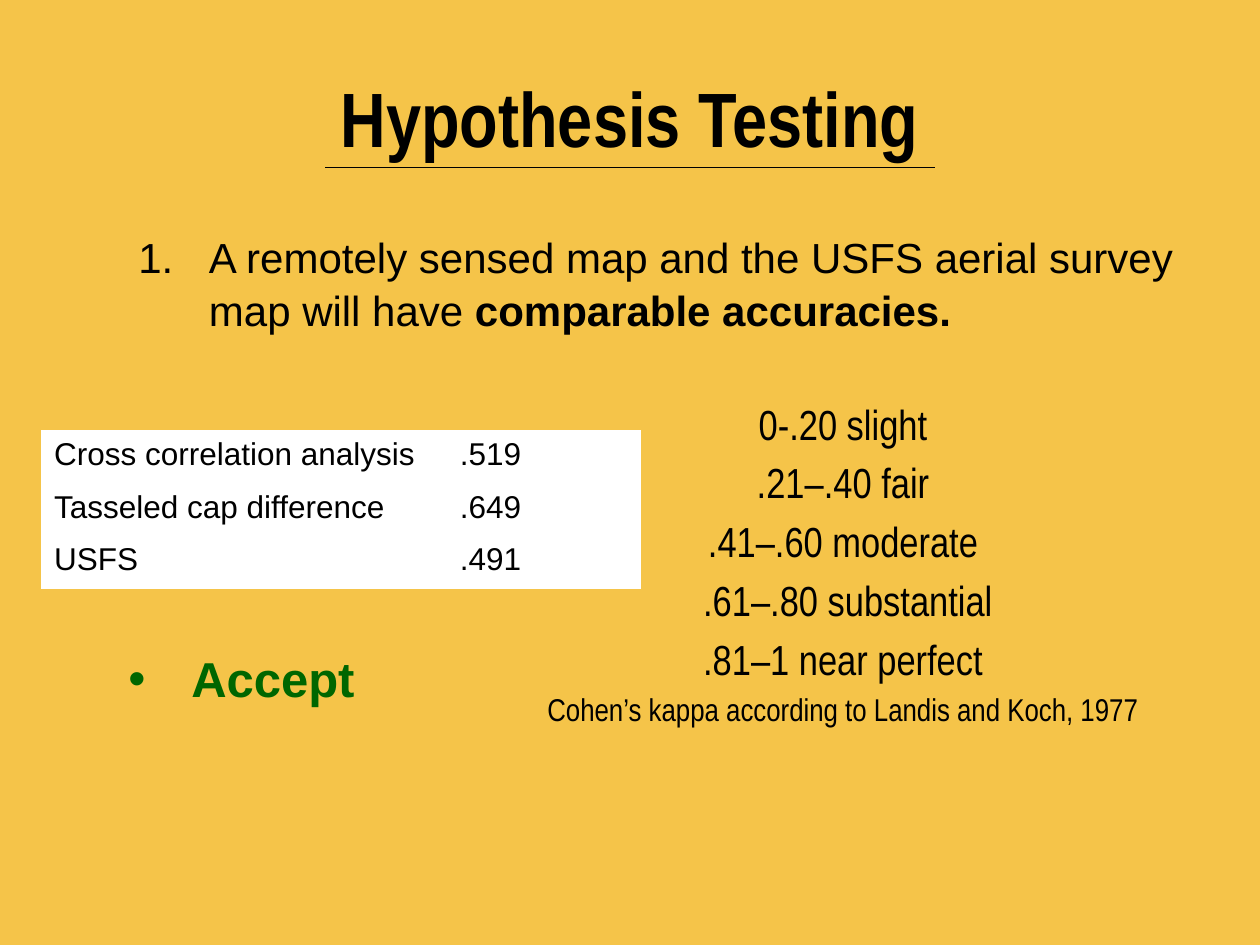
from lxml import etree
from pptx import Presentation
from pptx import util as u
from pptx.dml.color import RGBColor
from pptx.enum import shapes, text
from pptx.oxml.ns import qn

GOLD = RGBColor(0xF5, 0xC4, 0x49)
BLACK = RGBColor(0, 0, 0)
WHITE = RGBColor(0xFF, 0xFF, 0xFF)
GREEN = RGBColor(0, 0x66, 0)

KAPPA_SCALE = ["0-.20 slight", ".21–.40 fair", ".41–.60 moderate",
               " .61–.80 substantial", ".81–1 near perfect"]
ACCURACIES = [("Cross correlation analysis", ".519"),
              ("Tasseled cap difference", ".649"),
              ("USFS", ".491")]


def style(para, size, name="Arial", color=BLACK, bold=None):
    font = para.font
    font.size, font.name, font.bold = u.Pt(size), name, bold
    font.color.rgb = color


def add_box(page, left, top, width, height):
    box = page.shapes.add_textbox(*map(u.Inches, (left, top, width, height)))
    box.text_frame.word_wrap = True
    return box.text_frame


def add_bullet(para, tag, indent, hang, **attributes):
    properties = para._p.get_or_add_pPr()
    properties.set("marL", str(u.Inches(indent)))
    properties.set("indent", str(-u.Inches(hang)))
    if tag == "a:buChar":
        etree.SubElement(properties, qn("a:buFont"), typeface="Arial")
    etree.SubElement(properties, qn(tag), **attributes)


def add_title(page):
    frame = add_box(page, 0.5, 0.3, 9, 1.25)
    frame.vertical_anchor = text.MSO_ANCHOR.MIDDLE
    para = frame.paragraphs[0]
    para.text = "Hypothesis Testing"
    para.alignment = text.PP_ALIGN.CENTER
    style(para, 44, "Arial Narrow", bold=True)
    rule = page.shapes.add_connector(
        shapes.MSO_CONNECTOR.STRAIGHT,
        *map(u.Inches, (2.58, 1.33, 7.42, 1.33)))
    rule.line.color.rgb = BLACK
    rule.line.width = u.Pt(0.75)
    etree.SubElement(rule._element.spPr, qn("a:effectLst"))


def add_hypothesis(page):
    para = add_box(page, 0.5, 1.77, 9, 1).paragraphs[0]
    add_bullet(para, "a:buAutoNum", 1.06, 0.56, type="arabicPeriod")
    para.line_spacing = 1.05
    style(para, 24)
    para.add_run().text = ("A remotely sensed map and the USFS aerial "
                           "survey map will have ")
    span = para.add_run()
    span.text = "comparable accuracies."
    span.font.bold = True


def add_kappa_scale(page):
    frame = add_box(page, 4.19, 3.11, 5, 2.8)
    lines = [(line, 24) for line in KAPPA_SCALE]
    lines.append(("Cohen’s kappa according to Landis and Koch, 1977", 18))
    for index, (line, size) in enumerate(lines):
        para = frame.add_paragraph() if index else frame.paragraphs[0]
        para.text = line
        para.alignment = text.PP_ALIGN.CENTER
        if index:
            para.space_before = u.Pt(size * 0.2)
        style(para, size, "Arial Narrow")


def add_accuracy_table(page):
    table = page.shapes.add_table(
        len(ACCURACIES), 2, *map(u.Inches, (0.33, 3.42, 4.75, 1.25))).table
    for column, width in zip(table.columns, (3.22, 1.53)):
        column.width = u.Inches(width)
    for row, values in zip(table.rows, ACCURACIES):
        for cell, value in zip(row.cells, values):
            cell.fill.solid()
            cell.fill.fore_color.rgb = WHITE
            cell.text = value
            style(cell.text_frame.paragraphs[0], 18, bold=False)


def add_verdict(page):
    para = add_box(page, 0.92, 5.1, 2.58, 0.88).paragraphs[0]
    add_bullet(para, "a:buChar", 0.5, 0.5, char="•")
    para.text = "Accept"
    style(para, 28, color=GREEN, bold=True)


def main():
    deck = Presentation()
    deck.slide_width, deck.slide_height = u.Inches(10), u.Inches(7.5)
    page = deck.slides.add_slide(deck.slide_layouts[6])
    page.background.fill.solid()
    page.background.fill.fore_color.rgb = GOLD
    add_title(page)
    add_hypothesis(page)
    add_kappa_scale(page)
    add_accuracy_table(page)
    add_verdict(page)
    deck.save("out.pptx")


if __name__ == "__main__":
    main()
